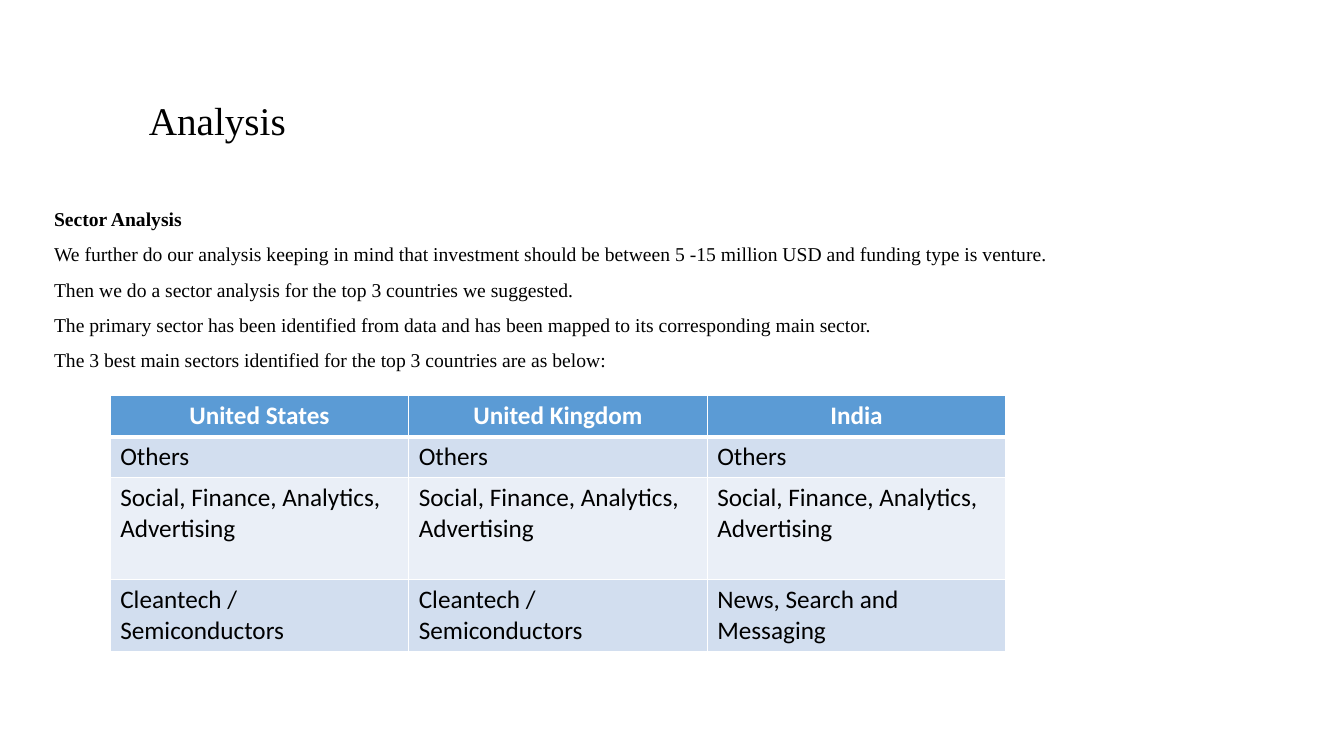
import pptx
import pptx.dml.color
import pptx.enum.text
import pptx.oxml
import pptx.oxml.ns
import pptx.util

RGBColor = pptx.dml.color.RGBColor
BLACK = RGBColor(0x00, 0x00, 0x00)
WHITE = RGBColor(0xFF, 0xFF, 0xFF)
BLUE = RGBColor(0x5B, 0x9B, 0xD5)
BAND_DARK = RGBColor(0xD2, 0xDE, 0xEF)
BAND_LIGHT = RGBColor(0xEA, 0xEF, 0xF7)

EMU_PER_PX = 9525
SERIF = "Times New Roman"
SANS = "Calibri"

SECTOR_LINES = [
    "We further do our analysis keeping in mind that investment should be between 5 -15 million USD and funding type is venture.",
    "Then we do a sector analysis for the top 3 countries we suggested.",
    "The primary sector has been identified from data and has been mapped to its corresponding main sector.",
    "The 3 best main sectors identified for the top 3 countries are as below:",
]
SECTOR_TABLE = [
    ["United States", "United Kingdom", "India"],
    ["Others"] * 3,
    ["Social, Finance, Analytics, Advertising"] * 3,
    ["Cleantech / Semiconductors", "Cleantech / Semiconductors", "News, Search and Messaging"],
]
ROW_HEIGHTS = [39, 39, 97, 69]


def px(length):
    return pptx.util.Emu(length * EMU_PER_PX)


def add_text(paragraph, text, font=SERIF, size=14, color=BLACK, bold=False):
    run = paragraph.add_run()
    run.text = text
    run.font.name = font
    run.font.size = pptx.util.Pt(size)
    run.font.bold = bold
    run.font.color.rgb = color


class SlideBuilder:
    def __init__(self, presentation):
        self.slide = presentation.slides.add_slide(presentation.slide_layouts[6])
        self.line_spacing = 0.9
        self.border_color = WHITE

    def text_box(self, left, top, width, height, paragraphs, space_before=0,
                 anchor=pptx.enum.text.MSO_ANCHOR.TOP):
        shape = self.slide.shapes.add_textbox(px(left), px(top), px(width), px(height))
        frame = shape.text_frame
        frame.word_wrap = True
        frame.vertical_anchor = anchor
        for index, runs in enumerate(paragraphs):
            paragraph = frame.add_paragraph() if index else frame.paragraphs[0]
            paragraph.line_spacing = self.line_spacing
            paragraph.space_before = pptx.util.Pt(space_before)
            for text, style in runs:
                add_text(paragraph, text, **style)

    def cell_borders(self, cell, **widths):
        properties = cell._tc.get_or_add_tcPr()
        for side in "LRTB":
            width = pptx.util.Pt(widths.get(side, 1))
            properties.append(pptx.oxml.parse_xml(
                f'<a:ln{side} {pptx.oxml.ns.nsdecls("a")} w="{width}">'
                f'<a:solidFill><a:srgbClr val="{self.border_color}"/></a:solidFill></a:ln{side}>'))

    def table(self, left, top, width, rows, heights):
        shape = self.slide.shapes.add_table(
            len(rows), len(rows[0]), px(left), px(top), px(width), px(sum(heights)))
        table = shape.table
        for row_index, (values, height) in enumerate(zip(rows, heights)):
            table.rows[row_index].height = px(height)
            header = row_index == 0
            borders = {0: {"B": 3}, 1: {"T": 3}}.get(row_index, {})
            band = BAND_DARK if row_index % 2 else BAND_LIGHT
            for column_index, value in enumerate(values):
                cell = table.cell(row_index, column_index)
                self.cell_borders(cell, **borders)
                cell.fill.solid()
                cell.fill.fore_color.rgb = BLUE if header else band
                paragraph = cell.text_frame.paragraphs[0]
                if header:
                    paragraph.alignment = pptx.enum.text.PP_ALIGN.CENTER
                add_text(paragraph, value, font=SANS, size=18,
                         color=WHITE if header else BLACK, bold=header)


def main():
    presentation = pptx.Presentation()
    presentation.slide_width = px(1280)
    presentation.slide_height = px(720)
    builder = SlideBuilder(presentation)
    builder.text_box(119, 67, 978, 90,
                     [[(" ", {"size": 40, "bold": True}), ("Analysis", {"size": 28})]],
                     anchor=pptx.enum.text.MSO_ANCHOR.MIDDLE)
    builder.text_box(42, 195, 1172, 456,
                     [[("Sector Analysis", {"bold": True})]] + [[(line, {})] for line in SECTOR_LINES],
                     space_before=10)
    builder.table(105, 377, 853, SECTOR_TABLE, ROW_HEIGHTS)
    presentation.save("out.pptx")


if __name__ == "__main__":
    main()
